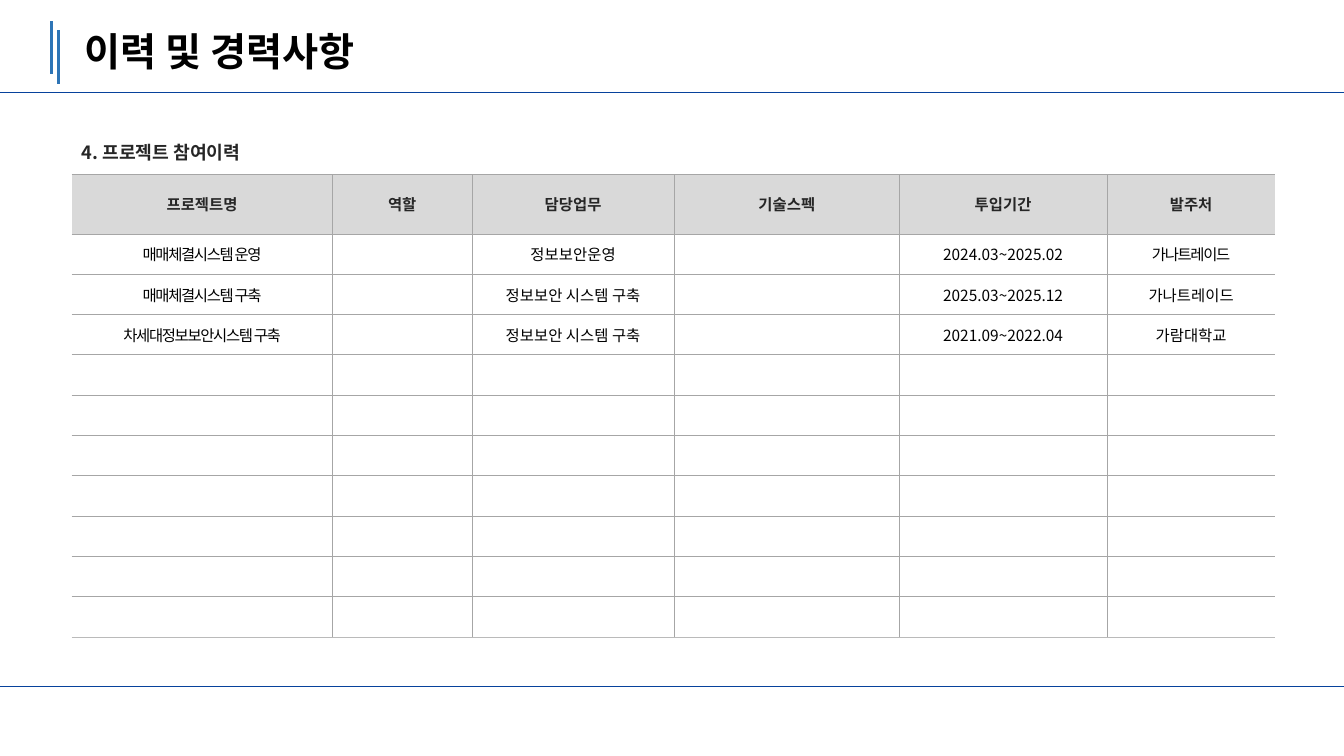
from lxml import etree
from pptx import Presentation
from pptx.dml.color import RGBColor
from pptx.enum.shapes import MSO_CONNECTOR
from pptx.enum.text import MSO_ANCHOR, MSO_AUTO_SIZE, PP_ALIGN
from pptx.oxml.ns import qn
from pptx.util import Inches, Pt

STRAIGHT = MSO_CONNECTOR.STRAIGHT
MIDDLE = MSO_ANCHOR.MIDDLE
LEFT, CENTER = PP_ALIGN.LEFT, PP_ALIGN.CENTER
NO_AUTOFIT = MSO_AUTO_SIZE.NONE
TITLE_ONLY = 5

FONT = "Noto Sans CJK KR"
COLORS = {
    "rule": "07429C",
    "accent": "2E75B6",
    "grid": "A6A6A6",
    "bottom": "BABABA",
    "header": "D9D9D9",
    "heading": "262626",
    "text": "000000",
}

SLIDE_WIDTH, SLIDE_HEIGHT = 13.33, 7.5
COLUMN_WIDTHS = [2.59, 1.38, 2.01, 2.23, 2.06, 1.67]
HEADING_HEIGHT, HEADER_HEIGHT, ROW_HEIGHT = 0.45, 0.59, 0.4
PROJECT_ROWS = 10
TABLE_ROWS = PROJECT_ROWS + 2

HEADING = "4. 프로젝트 참여이력"
HEADERS = ["프로젝트명", "역할", "담당업무", "기술스펙", "투입기간", "발주처"]
PROJECTS = [
    ["매매체결시스템 운영", "", "정보보안운영", "", "2024.03~2025.02", "가나트레이드"],
    ["매매체결시스템 구축", "", "정보보안 시스템 구축", "", "2025.03~2025.12", "가나트레이드"],
    ["차세대정보보안시스템 구축", "", "정보보안 시스템 구축", "", "2021.09~2022.04", "가람대학교"],
]
# Cells with condensed letters, as (project, column)
CONDENSED = {(0, 0), (1, 0), (2, 0), (0, 5)}


def color(name):
    return RGBColor.from_string(COLORS[name])


def add_run(paragraph, text, size, color_name, bold=False, spacing=0):
    run = paragraph.add_run()
    run.text = text
    run.font.size = Pt(size)
    run.font.bold = bold
    run.font.name = FONT
    run.font.color.rgb = color(color_name)
    properties = run.font._element
    etree.SubElement(properties, qn("a:ea"), typeface=FONT)
    if spacing:
        properties.set("spc", str(spacing * 100))


def add_line(slide, start, end, color_name, width):
    points = [Inches(value) for value in (*start, *end)]
    line = slide.shapes.add_connector(STRAIGHT, *points)
    line.line.color.rgb = color(color_name)
    line.line.width = Pt(width)
    etree.SubElement(line._element.spPr, qn("a:effectLst"))


def add_title(slide, text):
    title = slide.shapes.title
    title.left, title.top = Inches(0.74), Inches(0.23)
    title.width, title.height = Inches(3.76), Inches(0.54)
    frame = title.text_frame
    frame.auto_size = NO_AUTOFIT
    frame.word_wrap = False
    frame.vertical_anchor = MIDDLE
    frame.paragraphs[0].alignment = LEFT
    add_run(frame.paragraphs[0], text, 28, "text", bold=True)


def set_border(cell, side, color_name, width=0.5):
    properties = cell._tc.get_or_add_tcPr()
    line = etree.SubElement(properties, qn(f"a:ln{side}"), w=str(Pt(width)))
    if color_name is None:
        etree.SubElement(line, qn("a:noFill"))
    else:
        fill = etree.SubElement(line, qn("a:solidFill"))
        etree.SubElement(fill, qn("a:srgbClr"), val=COLORS[color_name])


def set_borders(cell, row, column):
    """Draw the inner grid; the left, right and top edges stay open."""
    last_column = len(COLUMN_WIDTHS) - 1
    last_row = row == TABLE_ROWS - 1
    set_border(cell, "L", "grid" if row and column else None)
    set_border(cell, "R", "grid" if row and column < last_column else None)
    set_border(cell, "T", "grid" if row else None)
    set_border(cell, "B", "bottom" if last_row else "grid", 0.75 if last_row else 0.5)


def fill_cell(cell, text, row, column):
    paragraph = cell.text_frame.paragraphs[0]
    cell.vertical_anchor = MIDDLE
    set_borders(cell, row, column)
    if row == 1:
        cell.fill.solid()
        cell.fill.fore_color.rgb = color("header")
    else:
        cell.fill.background()
    if row > 1:
        cell.margin_left = cell.margin_right = Inches(0.04)
        cell.margin_top = cell.margin_bottom = Inches(0.04)
    paragraph.alignment = CENTER if row else LEFT
    if not text:
        # Small end mark keeps empty rows at their set height
        etree.SubElement(paragraph._p, qn("a:endParaRPr"), sz="1100")
    elif row > 1:
        spacing = -1 if (row - 2, column) in CONDENSED else 0
        add_run(paragraph, text, 11, "text", spacing=spacing)
    else:
        add_run(paragraph, text, 11 if row else 13, "heading", bold=True)


def add_history_table(slide):
    heights = [HEADING_HEIGHT, HEADER_HEIGHT] + [ROW_HEIGHT] * PROJECT_ROWS
    columns = len(COLUMN_WIDTHS)
    frame = slide.shapes.add_table(
        TABLE_ROWS, columns, Inches(0.71), Inches(1.28),
        Inches(sum(COLUMN_WIDTHS)), Inches(sum(heights)))
    table = frame.table
    table.first_row = False
    table.horz_banding = False
    for column, width in zip(table.columns, COLUMN_WIDTHS):
        column.width = Inches(width)
    for row, height in zip(table.rows, heights):
        row.height = Inches(height)

    blank = [""] * columns
    contents = [[HEADING] + blank[1:], HEADERS] + PROJECTS
    contents += [blank] * (TABLE_ROWS - len(contents))
    for row, texts in enumerate(contents):
        for column, text in enumerate(texts):
            fill_cell(table.cell(row, column), text, row, column)
    table.cell(0, 0).merge(table.cell(0, columns - 1))


def main():
    presentation = Presentation()
    presentation.slide_width = Inches(SLIDE_WIDTH)
    presentation.slide_height = Inches(SLIDE_HEIGHT)
    slide = presentation.slides.add_slide(presentation.slide_layouts[TITLE_ONLY])

    # Page frame and title
    for y in (0.92, 6.81):
        add_line(slide, (0, y), (SLIDE_WIDTH, y), "rule", 0.5)
    for x, top, bottom in ((0.51, 0.21, 0.73), (0.58, 0.3, 0.83)):
        add_line(slide, (x, top), (x, bottom), "accent", 2)
    add_title(slide, "이력 및 경력사항")

    # Project history
    add_history_table(slide)
    presentation.save("out.pptx")


if __name__ == "__main__":
    main()
